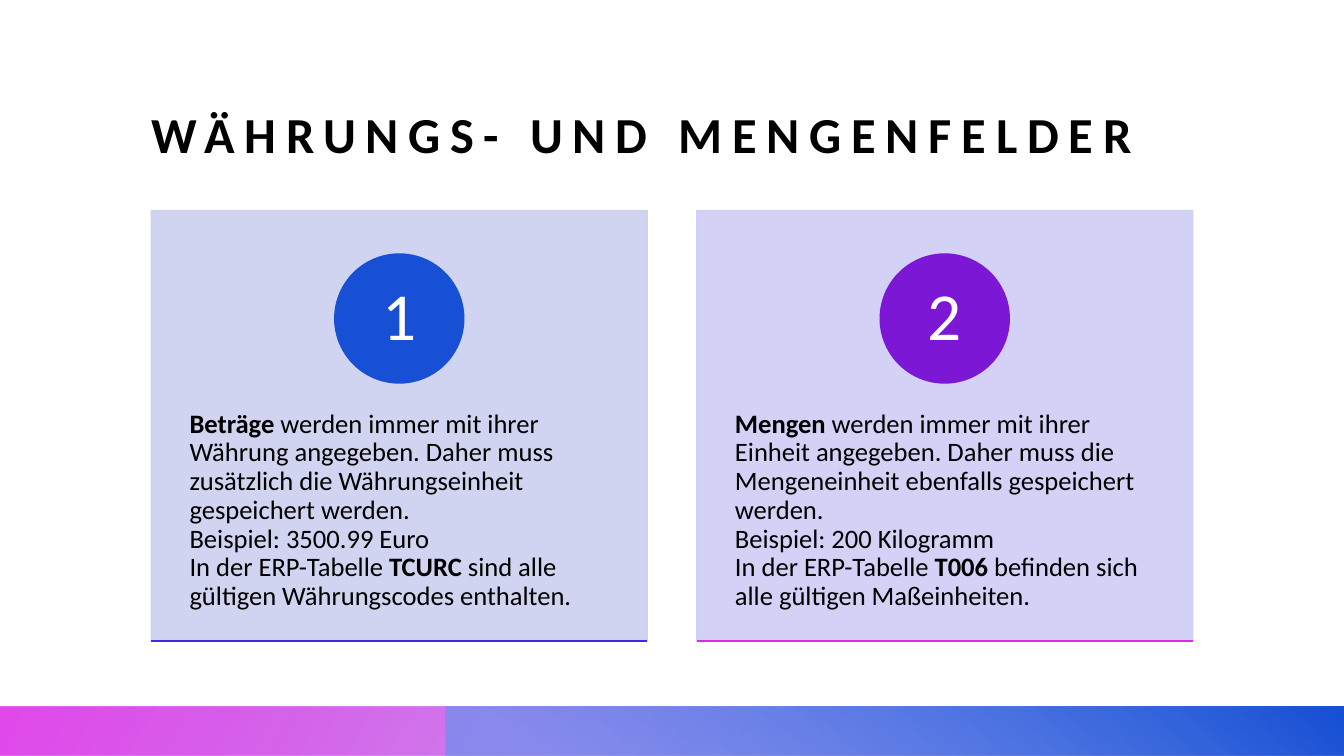
from lxml.etree import SubElement
from pptx import Presentation
from pptx.dml.color import RGBColor
from pptx.enum.shapes import MSO_CONNECTOR, MSO_SHAPE
from pptx.enum.text import MSO_ANCHOR, PP_ALIGN
from pptx.oxml.ns import qn
from pptx.util import Inches, Pt

TITLE = "WÄHRUNGS- UND MENGENFELDER"
CARDS = [
    {
        "number": "1", "panel": "CCD0EF", "badge": "1750D5", "rule": "3F29E7",
        "lines": [
            [("Beträge", True),
             (" werden immer mit ihrer Währung angegeben. Daher muss zusätzlich "
              "die Währungseinheit gespeichert werden.", False)],
            [("Beispiel: 3500.99 Euro", False)],
            [("In der ERP-Tabelle ", False), ("TCURC", True),
             (" sind alle gültigen Währungscodes enthalten.", False)],
        ],
    },
    {
        "number": "2", "panel": "CFCDF6", "badge": "7C17D5", "rule": "DD29E7",
        "lines": [
            [("Mengen", True),
             (" werden immer mit ihrer Einheit angegeben. Daher muss die "
              "Mengeneinheit ebenfalls gespeichert werden.", False)],
            [("Beispiel: 200 Kilogramm", False)],
            [("In der ERP-Tabelle ", False), ("T006", True),
             (" befinden sich alle gültigen Maßeinheiten.", False)],
        ],
    },
]
# Gradient stops: position %, colour, opacity %
BANDS = [
    {"left": 0, "rotation": 180, "angle": 150,
     "stops": [(14, "7C17D5", 28), (100, "DD29E7", 85)]},
    {"left": 4.42, "rotation": 0, "angle": 230,
     "stops": [(9, "6B92EF", 68), (99, "1750D5", 100)]},
]
THEME = {
    "font": "Calibri", "ink": "000000", "badge_ink": "FFFFFF",
    "title": 36, "body": 19, "number": 48, "title_spacing": 7, "panel_opacity": 90,
}
SLIDE_WIDTH, SLIDE_HEIGHT = 13.33, 7.5
MARGIN = 1.5
CARD_TOP, CARD_WIDTH, CARD_HEIGHT, CARD_GAP = 2.09, 4.92, 4.27, 0.49
BADGE_TOP, BADGE_SIZE = 2.52, 1.28
BODY_TOP, BODY_HEIGHT = 3.71, 2.56
BAND_TOP = 7.01


def set_opacity(color_element, percent):
    SubElement(color_element, qn("a:alpha"), val=str(percent * 1000))


def add_block(slide, kind, area, color):
    block = slide.shapes.add_shape(kind, *map(Inches, area))
    block.shadow.inherit = False
    block.fill.solid()
    block.fill.fore_color.rgb = RGBColor.from_string(color)
    block.line.color.rgb = RGBColor.from_string(color)
    block.line.width = Pt(1)
    return block


def format_frame(frame, anchor, insets):
    horizontal, vertical = map(Inches, insets)
    settings = {
        "word_wrap": True, "vertical_anchor": anchor,
        "margin_left": horizontal, "margin_right": horizontal,
        "margin_top": vertical, "margin_bottom": vertical,
    }
    for name, value in settings.items():
        setattr(frame, name, value)


def add_span(para, text, size, color, bold=False):
    span = para.add_run()
    span.text = text
    settings = {"name": THEME["font"], "size": Pt(size), "bold": bold}
    for name, value in settings.items():
        setattr(span.font, name, value)
    span.font.color.rgb = RGBColor.from_string(color)
    return span


def add_band(slide, band):
    """Draw a mirrored footer band whose gradient stops carry opacity."""
    area = (band["left"], BAND_TOP, SLIDE_WIDTH - band["left"], SLIDE_HEIGHT - BAND_TOP)
    shape = slide.shapes.add_shape(MSO_SHAPE.RECTANGLE, *map(Inches, area))
    shape.shadow.inherit = False
    shape.line.fill.background()
    shape.rotation = band["rotation"]
    properties = shape.element.spPr
    properties.find(qn("a:xfrm")).set("flipH", "1")
    shape.fill.gradient()
    gradient = properties.find(qn("a:gradFill"))
    for child in list(gradient):
        gradient.remove(child)
    stops = SubElement(gradient, qn("a:gsLst"))
    for position, color, opacity in band["stops"]:
        stop = SubElement(stops, qn("a:gs"), pos=str(position * 1000))
        set_opacity(SubElement(stop, qn("a:srgbClr"), val=color), opacity)
    SubElement(gradient, qn("a:lin"), ang=str(band["angle"] * 60000), scaled="0")


def add_title(slide):
    area = (MARGIN, 0.52, SLIDE_WIDTH - 2 * MARGIN, 1.1)
    box = slide.shapes.add_textbox(*map(Inches, area))
    format_frame(box.text_frame, MSO_ANCHOR.BOTTOM, (0, 0))
    span = add_span(box.text_frame.paragraphs[0], TITLE, THEME["title"], THEME["ink"], True)
    span.font._element.set("spc", str(THEME["title_spacing"] * 100))


def add_card(slide, card, left):
    panel = add_block(slide, MSO_SHAPE.RECTANGLE,
                      (left, CARD_TOP, CARD_WIDTH, CARD_HEIGHT), card["panel"])
    for color in panel.element.spPr.iter(qn("a:srgbClr")):
        set_opacity(color, THEME["panel_opacity"])

    box = slide.shapes.add_textbox(*map(Inches, (left, BODY_TOP, CARD_WIDTH, BODY_HEIGHT)))
    format_frame(box.text_frame, MSO_ANCHOR.TOP, (0.38, 0.36))
    para = box.text_frame.paragraphs[0]
    para.line_spacing = 0.9
    for index, line in enumerate(card["lines"]):
        if index:
            para.add_line_break()
        for text, bold in line:
            add_span(para, text, THEME["body"], THEME["ink"], bold)

    badge_left = left + (CARD_WIDTH - BADGE_SIZE) / 2
    badge = add_block(slide, MSO_SHAPE.OVAL,
                      (badge_left, BADGE_TOP, BADGE_SIZE, BADGE_SIZE), card["badge"])
    format_frame(badge.text_frame, MSO_ANCHOR.MIDDLE, (0.1, 0.01))
    para = badge.text_frame.paragraphs[0]
    para.alignment = PP_ALIGN.CENTER
    para.line_spacing = 0.9
    add_span(para, card["number"], THEME["number"], THEME["badge_ink"])

    bottom = CARD_TOP + CARD_HEIGHT
    ends = (left, bottom, left + CARD_WIDTH, bottom)
    rule = slide.shapes.add_connector(MSO_CONNECTOR.STRAIGHT, *map(Inches, ends))
    rule.line.color.rgb = RGBColor.from_string(card["rule"])
    rule.line.width = Pt(1)
    SubElement(rule._element.spPr, qn("a:effectLst"))


def main():
    deck = Presentation()
    deck.slide_width, deck.slide_height = Inches(SLIDE_WIDTH), Inches(SLIDE_HEIGHT)
    page = deck.slides.add_slide(deck.slide_layouts[6])
    add_title(page)
    for band in BANDS:
        add_band(page, band)
    for index, card in enumerate(CARDS):
        add_card(page, card, MARGIN + index * (CARD_WIDTH + CARD_GAP))
    deck.save("out.pptx")


if __name__ == "__main__":
    main()
